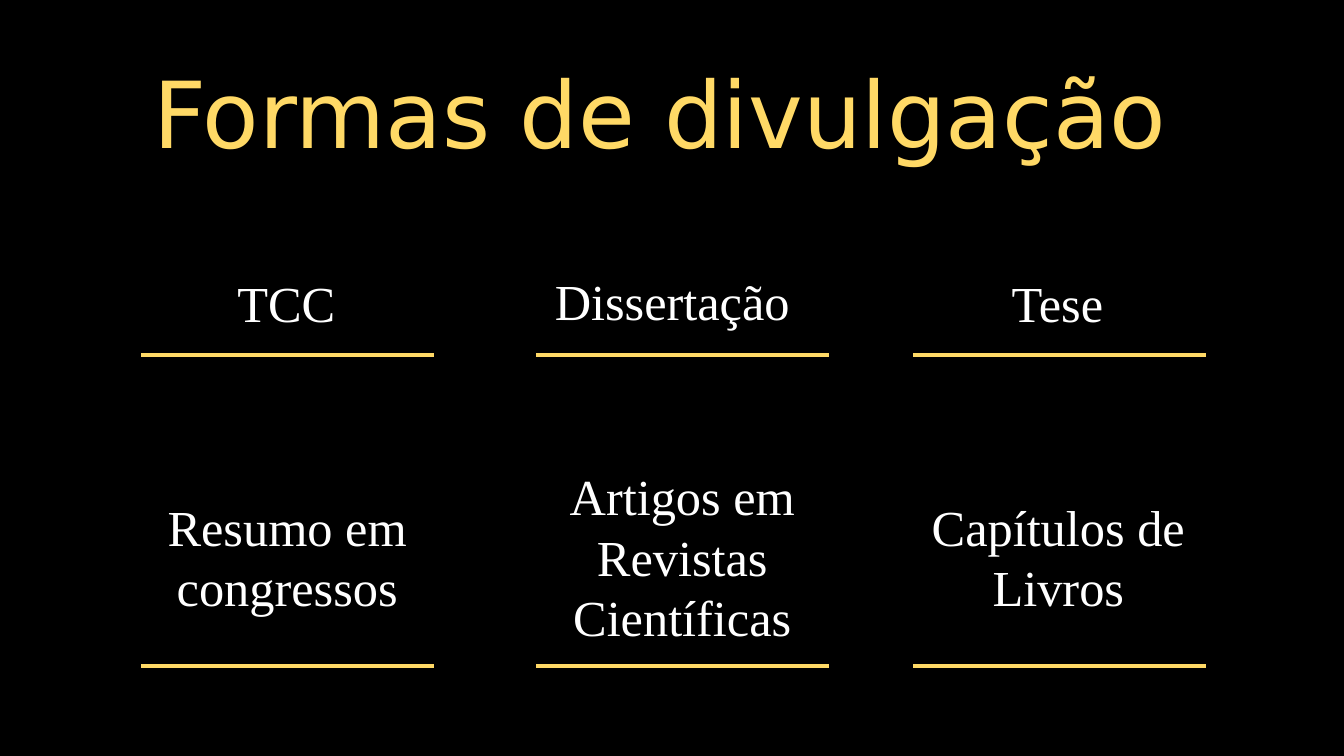
from lxml import etree
from pptx import Presentation
from pptx.dml.color import RGBColor
from pptx.enum import shapes, text
from pptx.oxml import ns
from pptx.util import Pt

HUES = {"back": "000000", "gold": "FFD966", "white": "FFFFFF"}
SERIF = "Times New Roman"
COLUMNS = [
    (100.8, ("TCC", 63.4, 190.8, 282.2),
     ("Resumo em congressos", 64.1, 350.6, 282.2, 94.3)),
    (383, ("Dissertação", 339.1, 189.4, 282.2),
     ("Artigos em Revistas Científicas", 346.3, 329, 282.2, 138.2)),
    (652.3, ("Tese", 650.2, 190.8, 210.2),
     ("Capítulos de Livros", 650.9, 350.6, 210.2, 94.3)),
]
RULES = (253.4, 475.9)
SPAN = 209.5


def hue(name):
    """Return the named colour."""
    return RGBColor.from_string(HUES[name])


def label(slide, words, left, top, width, height=51.1,
          size=36, font=SERIF, tone="white"):
    """Add a centred text box that wraps."""
    box = slide.shapes.add_textbox(Pt(left), Pt(top), Pt(width), Pt(height))
    frame = box.text_frame
    frame.word_wrap = True
    frame.auto_size = text.MSO_AUTO_SIZE.SHAPE_TO_FIT_TEXT
    para = frame.paragraphs[0]
    para.alignment = text.PP_ALIGN.CENTER
    run = para.add_run()
    run.text = words
    run.font.size = Pt(size)
    run.font.name = font
    run.font.color.rgb = hue(tone)


def rule(slide, left, top):
    """Add a flat gold rule."""
    line = slide.shapes.add_connector(
        shapes.MSO_CONNECTOR.STRAIGHT,
        Pt(left), Pt(top), Pt(left + SPAN), Pt(top))
    line.line.color.rgb = hue("gold")
    line.line.width = Pt(3)
    etree.SubElement(line._element.spPr, ns.qn("a:effectLst"))


def main():
    """Build the slide and save it."""
    deck = Presentation()
    deck.slide_width, deck.slide_height = Pt(960), Pt(540)
    slide = deck.slides.add_slide(deck.slide_layouts[6])
    fill = slide.background.fill
    fill.solid()
    fill.fore_color.rgb = hue("back")
    label(slide, "Formas de divulgação", 41.8, 36.7, 859.7, 87.1,
          66, "DejaVu Sans", "gold")
    for left, head, body in COLUMNS:
        label(slide, *head)
        label(slide, *body)
        for top in RULES:
            rule(slide, left, top)
    deck.save("out.pptx")


if __name__ == "__main__":
    main()
